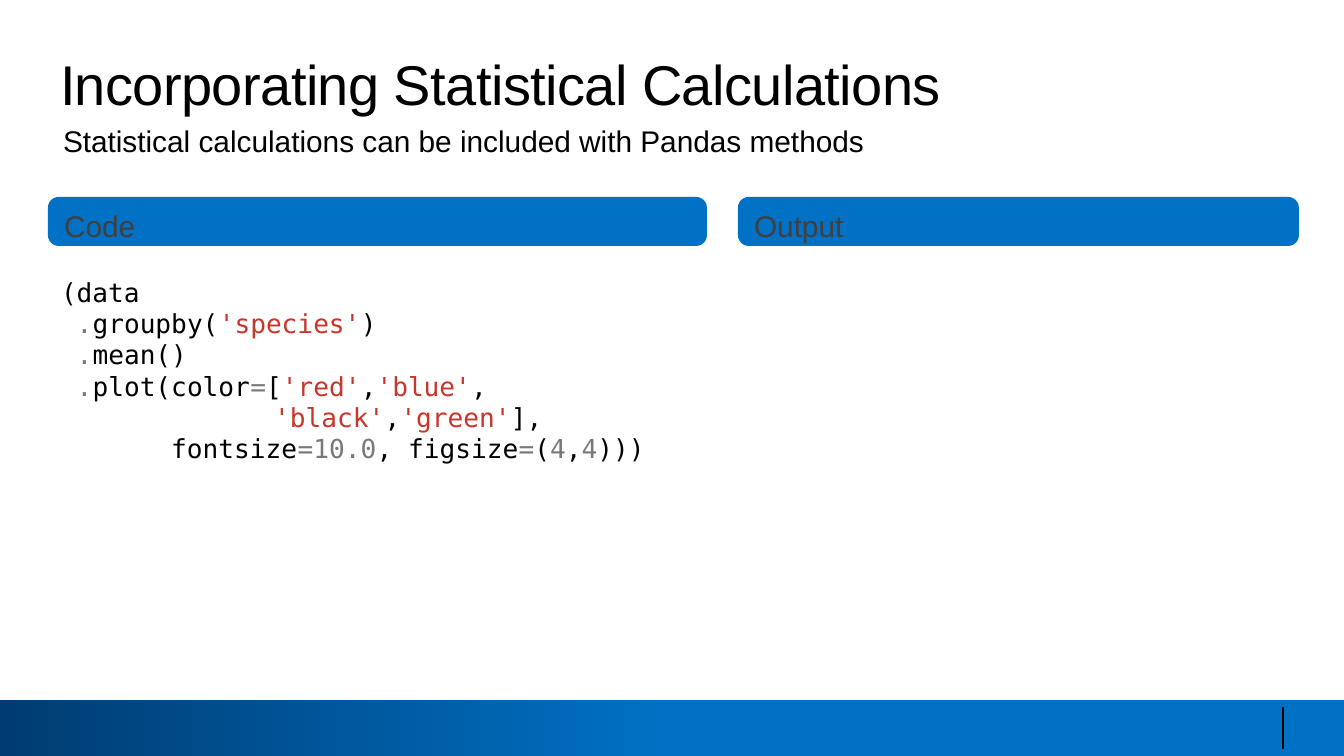
from dataclasses import dataclass

from lxml import etree
from pptx import Presentation
from pptx import util as u
from pptx.dml.color import RGBColor
from pptx.enum import shapes, text
from pptx.oxml.ns import qn

EMU_PER_PX = 914400 / 134.4


@dataclass(frozen=True)
class Theme:
    font: str = "Arial"
    code_font: str = "DejaVu Sans Mono"
    ink: str = "000000"
    label: str = "404040"
    blue: str = "0071C5"
    navy: str = "003C71"
    operator: str = "797979"
    string: str = "C8352B"
    title_size: int = 30
    body_size: int = 16
    code_size: int = 14
    code_leading: float = 16.8


def px(*lengths):
    return [u.Emu(round(length * EMU_PER_PX)) for length in lengths]


class SlideBuilder:
    def __init__(self, theme, width, height):
        self.theme = theme
        self.presentation = Presentation()
        self.presentation.slide_width, self.presentation.slide_height = px(width, height)
        self.slide = self.presentation.slides.add_slide(self.presentation.slide_layouts[1])

    def add_run(self, paragraph, words, size, color, font=None):
        run = paragraph.add_run()
        run.text = words
        run.font.name = font or self.theme.font
        run.font.size = u.Pt(size)
        run.font.color.rgb = RGBColor.from_string(color)
        return run

    def set_frame(self, shape, left=13, top=7, right=13, bottom=7):
        frame = shape.text_frame
        frame.word_wrap = True
        frame.auto_size = text.MSO_AUTO_SIZE.NONE
        frame.vertical_anchor = text.MSO_ANCHOR.TOP
        (frame.margin_left, frame.margin_top,
         frame.margin_right, frame.margin_bottom) = px(left, top, right, bottom)
        return frame

    def place(self, shape, box):
        shape.left, shape.top, shape.width, shape.height = px(*box)

    def title(self, words, box):
        shape = self.slide.shapes.title
        self.place(shape, box)
        paragraph = self.set_frame(shape, 1, 7, 0, 0).paragraphs[0]
        paragraph.alignment = text.PP_ALIGN.LEFT
        run = self.add_run(paragraph, words, self.theme.title_size, self.theme.ink)
        run._r.get_or_add_rPr().set("spc", "-30")

    def subtitle(self, words, box):
        shape = self.slide.placeholders[1]
        self.place(shape, box)
        paragraph = self.set_frame(shape).paragraphs[0]
        properties = paragraph._p.get_or_add_pPr()
        properties.set("marL", "0")
        properties.set("indent", "0")
        etree.SubElement(properties, qn("a:buNone"))
        paragraph.space_before = u.Pt(0)
        self.add_run(paragraph, words, self.theme.body_size, self.theme.ink)

    def block(self, kind, box):
        shape = self.slide.shapes.add_shape(kind, *px(*box))
        shape.shadow.inherit = False
        shape.line.fill.background()
        return shape

    def header_bar(self, words, box):
        bar = self.block(shapes.MSO_SHAPE.ROUNDED_RECTANGLE, box)
        bar.adjustments[0] = 0.22
        bar.fill.solid()
        bar.fill.fore_color.rgb = RGBColor.from_string(self.theme.blue)
        paragraph = self.set_frame(bar, top=8, bottom=0).paragraphs[0]
        paragraph.alignment = text.PP_ALIGN.LEFT
        self.add_run(paragraph, words, self.theme.body_size, self.theme.label)

    def code(self, lines, box):
        frame = self.set_frame(self.slide.shapes.add_textbox(*px(*box)))
        for index, line in enumerate(lines):
            paragraph = frame.paragraphs[0] if index == 0 else frame.add_paragraph()
            tabs = etree.SubElement(paragraph._p.get_or_add_pPr(), qn("a:tabLst"))
            etree.SubElement(tabs, qn("a:tab"), pos=str(u.Inches(1)), algn="l")
            paragraph.line_spacing = u.Pt(self.theme.code_leading)
            for words, color in line:
                self.add_run(paragraph, words, self.theme.code_size, color,
                             self.theme.code_font)

    def gradient_band(self, box):
        band = self.block(shapes.MSO_SHAPE.RECTANGLE, box)
        band.fill.gradient()
        band.fill.gradient_angle = 0
        stops = ((0, self.theme.navy), (0.5, self.theme.blue))
        for stop, (position, color) in zip(band.fill.gradient_stops, stops):
            stop.position = position
            stop.color.rgb = RGBColor.from_string(color)

    def rule(self, start, end):
        line = self.slide.shapes.add_connector(
            shapes.MSO_CONNECTOR.STRAIGHT, *px(*start, *end))
        line.line.color.rgb = RGBColor.from_string(self.theme.ink)
        line.line.width = u.Pt(0.75)
        etree.SubElement(line._element.spPr, qn("a:effectLst"))


def main():
    theme = Theme()
    ink, operator, string = theme.ink, theme.operator, theme.string
    builder = SlideBuilder(theme, 1344, 756)

    # Footer
    builder.gradient_band((0, 700, 1344, 56))
    builder.rule((1283, 707), (1283, 749))

    # Heading
    builder.title("Incorporating Statistical Calculations", (59, 43, 1241, 67))
    builder.subtitle("Statistical calculations can be included with Pandas methods",
                     (50, 116, 1005, 50))

    # Column headers
    for words, left, width in (("Code", 48, 659), ("Output", 738, 561)):
        builder.header_bar(words, (left, 197, width, 49))

    # Code listing
    dot, comma, equals = (" .", operator), (",", ink), ("=", operator)
    builder.code([
        [("(data", ink)],
        [dot, ("groupby(", ink), ("'species'", string), (")", ink)],
        [dot, ("mean()", ink)],
        [dot, ("plot(color", ink), equals, ("[", ink),
         ("'red'", string), comma, ("'blue'", string), comma],
        [("  \t     'black'", string), comma, ("'green'", string), ("],", ink)],
        [("       fontsize", ink), ("=10.0", operator), (", figsize", ink), equals,
         ("(", ink), ("4", operator), comma, ("4", operator), (")))", ink)],
    ], (48, 269, 669, 203))

    builder.presentation.save("out.pptx")


if __name__ == "__main__":
    main()
